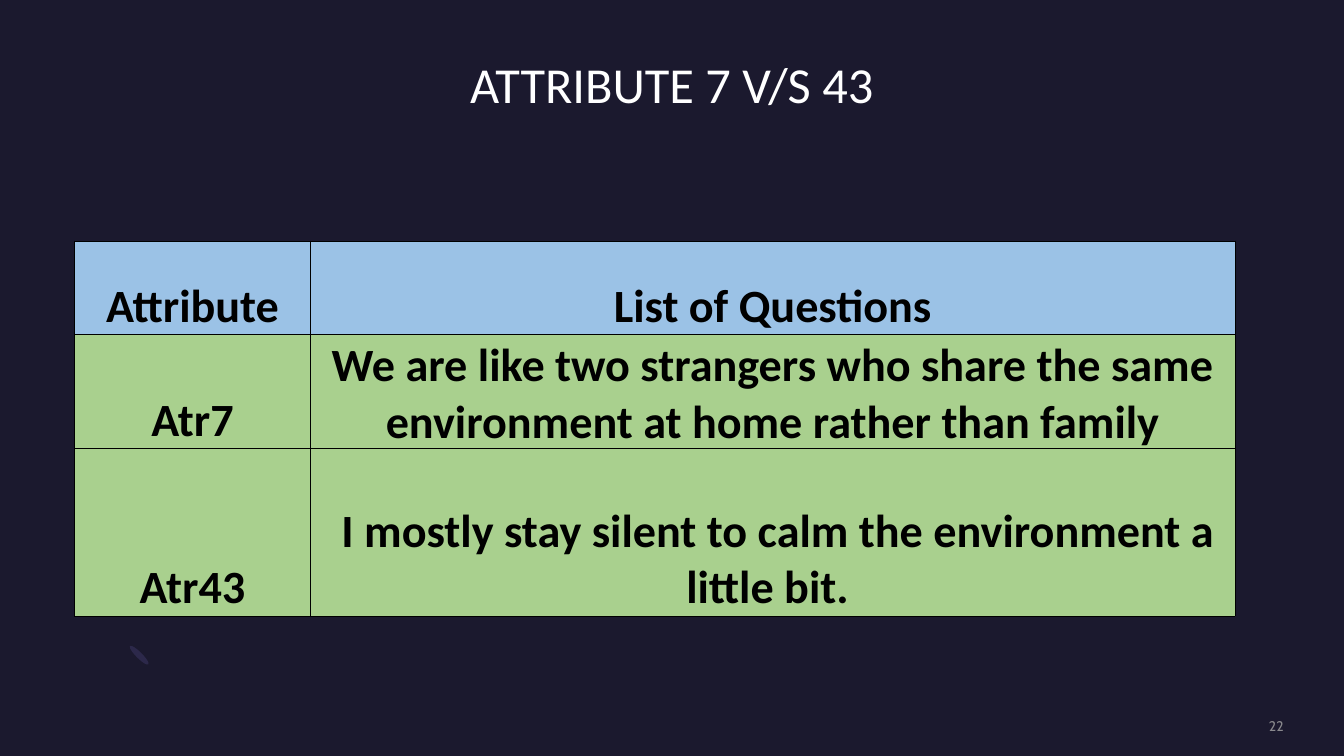
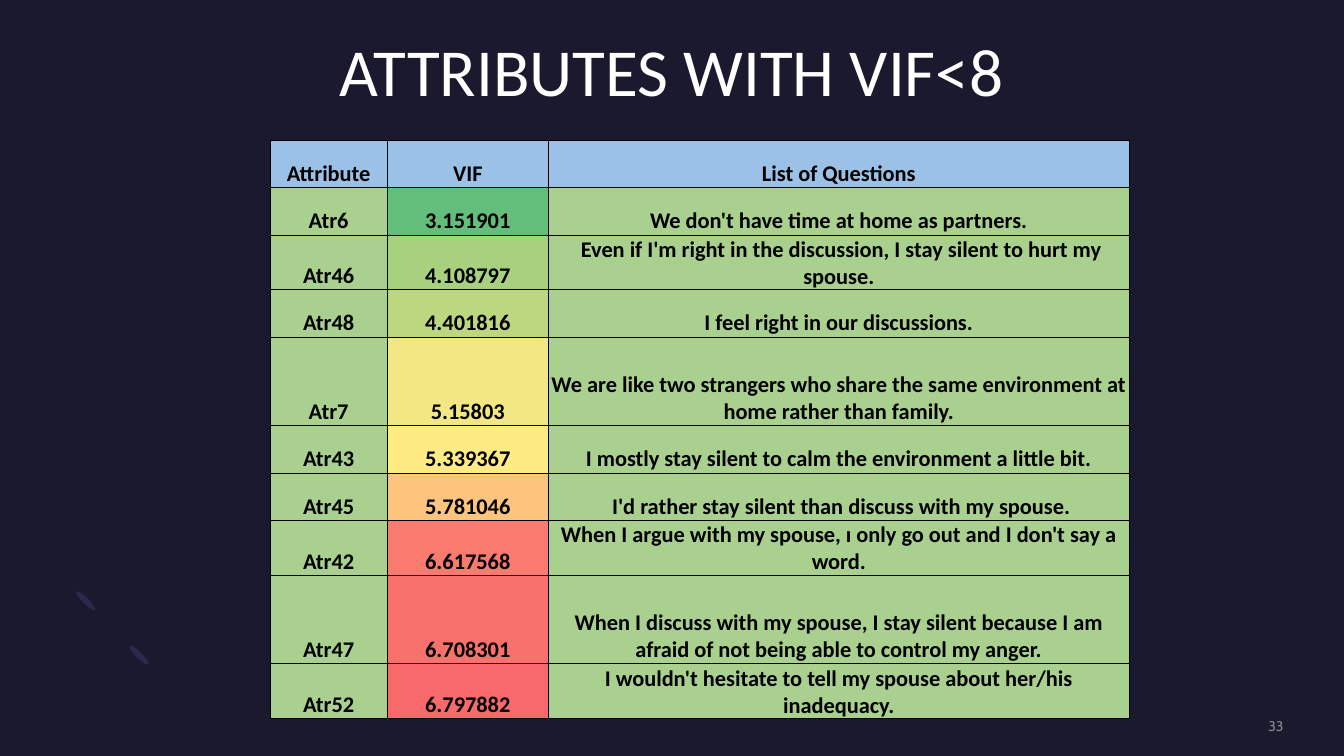
from lxml.etree import SubElement
from pptx import Presentation
from pptx.dml.color import RGBColor
from pptx.enum.shapes import MSO_SHAPE
from pptx.enum.text import MSO_ANCHOR, PP_ALIGN
from pptx.oxml.ns import qn
from pptx.util import Inches, Pt

NAVY = RGBColor(0x1B, 0x19, 0x2E)
INDIGO = RGBColor(0x2C, 0x28, 0x4A)
WHITE = RGBColor(0xFF, 0xFF, 0xFF)
GREY = RGBColor(0xA6, 0xA6, 0xA6)
BLACK = RGBColor(0x00, 0x00, 0x00)
BLUE = RGBColor(0x9B, 0xC2, 0xE6)
GREEN = RGBColor(0xA9, 0xD0, 0x8E)

# Colour scale of the VIF column, from low to high
VIF_SCALE = [RGBColor.from_string(c) for c in (
    "63BE7B", "A7D17E", "BCD780", "F2E783", "FFEB84",
    "FDC47D", "F97A6F", "F9716D", "F8696B")]


class Deck:
    """Holds the shared style and the current slide."""

    font = "Calibri"
    number_font = "Cabin"

    def __init__(self):
        self.prs = Presentation()
        self.prs.slide_width = Inches(13.33)
        self.prs.slide_height = Inches(7.5)
        self.s = None

    def slide(self, title, title_top, title_size, number):
        self.s = self.prs.slides.add_slide(self.prs.slide_layouts[6])
        fill = self.s.background.fill
        fill.solid()
        fill.fore_color.rgb = NAVY
        for left, top in ((1.35, 6.37), (0.82, 5.83)):
            self.petal(left, top)
        p = self.text(title, 0.6, title_top, 12.13, 0.8, title_size,
                      self.font, WHITE, PP_ALIGN.CENTER, MSO_ANCHOR.TOP)
        p.line_spacing = 0.9
        p = self.text(number, 10.88, 7.12, 1.85, 0.17, 10,
                      self.number_font, GREY, PP_ALIGN.RIGHT, MSO_ANCHOR.MIDDLE)
        for color in p.font.fill._xPr.iter(qn("a:srgbClr")):
            SubElement(color, qn("a:alpha"), val="80000")

    def petal(self, left, top):
        sp = self.s.shapes.add_shape(MSO_SHAPE.OVAL, Inches(left), Inches(top),
                                     Inches(0.06), Inches(0.26))
        sp.rotation = 135
        sp.shadow.inherit = False
        sp.fill.solid()
        sp.fill.fore_color.rgb = INDIGO
        sp.line.fill.background()

    def text(self, text, left, top, width, height, size, font, color, align, anchor):
        tf = self.s.shapes.add_textbox(Inches(left), Inches(top),
                                       Inches(width), Inches(height)).text_frame
        tf.word_wrap = True
        tf.vertical_anchor = anchor
        tf.margin_left = tf.margin_right = tf.margin_top = tf.margin_bottom = 0
        p = tf.paragraphs[0]
        self.style(p, text, size, font, color, align)
        return p

    def style(self, p, text, size, font, color, align):
        p.text = text
        p.alignment = align
        p.font.size = Pt(size)
        p.font.name = font
        p.font.color.rgb = color

    def table(self, left, top, col_widths, row_heights, rows, size, margin, scale=()):
        """Blue header, green body; scale colours the second column."""
        table = self.s.shapes.add_table(
            len(rows), len(col_widths), Inches(left), Inches(top),
            Inches(sum(col_widths)), Inches(sum(row_heights))).table
        for col, width in zip(table.columns, col_widths):
            col.width = Inches(width)
        for i, (values, height) in enumerate(zip(rows, row_heights)):
            table.rows[i].height = Inches(height)
            for j, value in enumerate(values):
                color = BLUE if i == 0 else GREEN
                if scale and i > 0 and j == 1:
                    color = scale[i - 1]
                self.cell(table.cell(i, j), value, size, margin, color)

    def cell(self, cell, text, size, margin, color):
        cell.margin_left = cell.margin_right = cell.margin_top = Inches(margin)
        cell.margin_bottom = 0
        cell.vertical_anchor = MSO_ANCHOR.BOTTOM
        p = cell.text_frame.paragraphs[0]
        self.style(p, text, size, self.font, BLACK, PP_ALIGN.CENTER)
        p.font.bold = True
        # Borders come before the fill in the cell properties
        tcPr = cell._tc.get_or_add_tcPr()
        for side in ("lnL", "lnR", "lnT", "lnB"):
            ln = SubElement(tcPr, qn(f"a:{side}"), w=str(Pt(0.5)))
            SubElement(SubElement(ln, qn("a:solidFill")), qn("a:srgbClr"), val=str(BLACK))
        cell.fill.solid()
        cell.fill.fore_color.rgb = color


def main():
    deck = Deck()

    # Two attributes compared
    deck.slide("ATTRIBUTE 7 V/S 43", 0.6, 36, "22")
    deck.table(0.74, 2.39, [2.34, 9.17], [0.93, 0.93, 1.66], [
        ("Attribute", "List of Questions"),
        ("Atr7", "We are like two strangers who share the same environment "
                 "at home rather than family"),
        ("Atr43", " I mostly stay silent to calm the environment a little bit. "),
    ], size=33, margin=0.03)

    # Attributes with a low VIF
    deck.slide("ATTRIBUTES WITH VIF<8", 0.38, 48, "33")
    rows = [
        ("Attribute", "VIF", "List of Questions"),
        ("Atr6", "3.151901", "We don't have time at home as partners."),
        ("Atr46", "4.108797", " Even if I'm right in the discussion, "
                              "I stay silent to hurt my spouse."),
        ("Atr48", "4.401816", "I feel right in our discussions."),
        ("Atr7", "5.15803", "We are like two strangers who share the same "
                            "environment at home rather than family."),
        ("Atr43", "5.339367", "I mostly stay silent to calm the environment a little bit."),
        ("Atr45", "5.781046", " I'd rather stay silent than discuss with my spouse."),
        ("Atr42", "6.617568", "When I argue with my spouse, ı only go out "
                              "and I don't say a word."),
        ("Atr47", "6.708301", "When I discuss with my spouse, I stay silent because "
                              "I am afraid of not being able to control my anger."),
        ("Atr52", "6.797882", "I wouldn't hesitate to tell my spouse "
                              "about her/his inadequacy."),
    ]
    heights = [0.88 if row[0] in ("Atr7", "Atr47") else 0.47 for row in rows]
    deck.table(2.68, 1.39, [1.16, 1.6, 5.76], heights, rows,
               size=16, margin=0.01, scale=VIF_SCALE)

    deck.prs.save("out.pptx")


if __name__ == "__main__":
    main()
